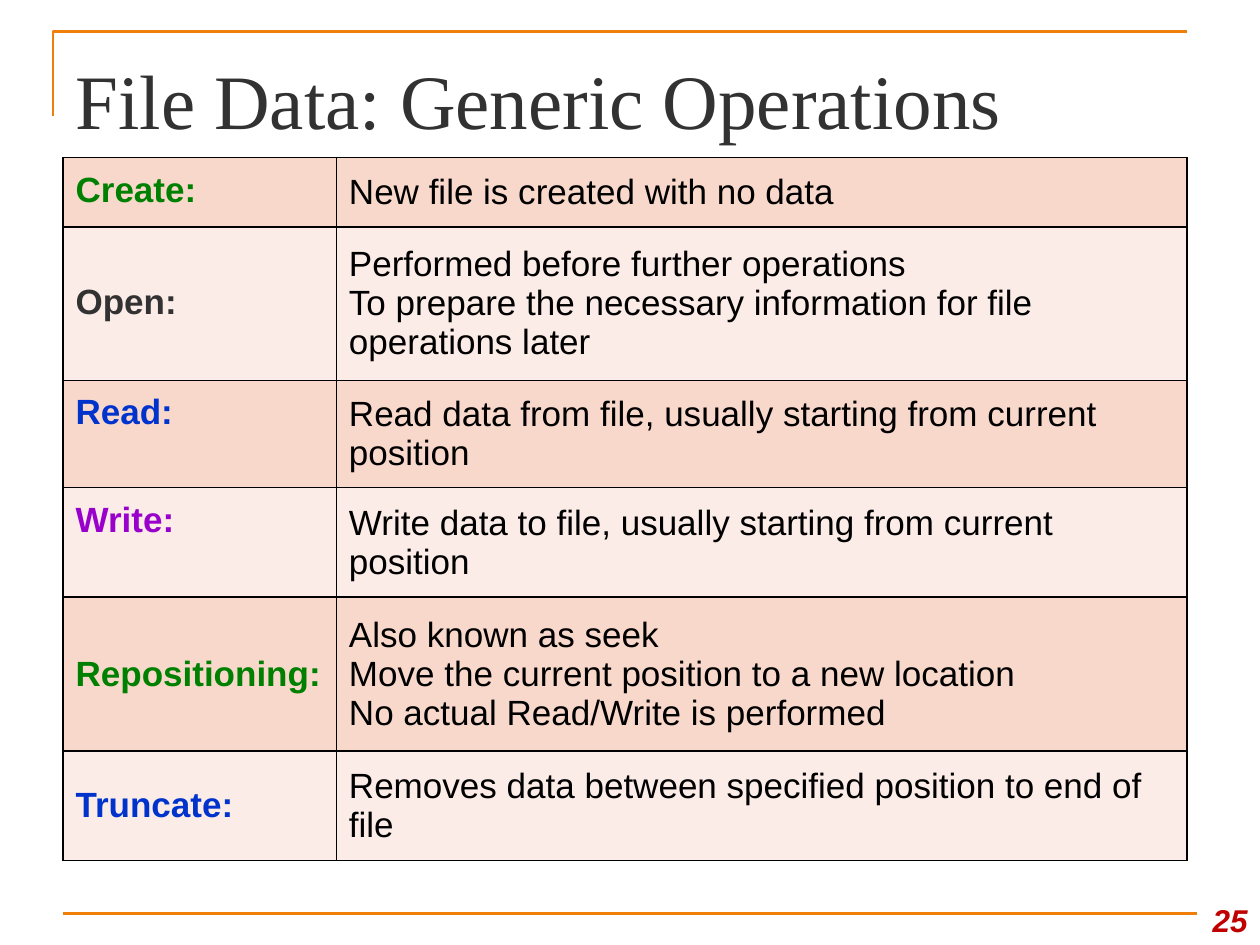
from dataclasses import dataclass

from lxml import etree
from pptx import Presentation, util as u
from pptx.dml.color import RGBColor
from pptx.enum import shapes, text
from pptx.oxml import ns

ORANGE = RGBColor(0xF0, 0x7F, 0x09)
DARK = RGBColor(0x32, 0x32, 0x32)
BLACK = RGBColor(0, 0, 0)
GREEN = RGBColor(0, 0x80, 0)
BLUE = RGBColor(0, 0x33, 0xCC)
PURPLE = RGBColor(0x99, 0, 0xCC)
RED = RGBColor(0xC0, 0, 0)
BANDS = (RGBColor(0xF9, 0xD8, 0xCC), RGBColor(0xFC, 0xEC, 0xE7))


@dataclass
class Operation:
    name: str
    color: RGBColor
    height: float
    notes: tuple[str, ...]
    spacing: float = 0.9
    raised: bool = False


OPERATIONS = (
    Operation("Create:", GREEN, 0.55, ("New file is created with no data",)),
    Operation("Open:", DARK, 1.22, (
        "Performed before further operations",
        "To prepare the necessary information for file operations later")),
    Operation("Read:", BLUE, 0.85, (
        "Read data from file, usually starting from current position",), raised=True),
    Operation("Write:", PURPLE, 0.87, (
        "Write data to file, usually starting from current position",), raised=True),
    Operation("Repositioning:", GREEN, 1.22, (
        "Also known as seek",
        "Move the current position to a new location",
        "No actual Read/Write is performed"), spacing=1.0),
    Operation("Truncate:", BLUE, 0.87, (
        "Removes data between specified position to end of file",), spacing=1.0),
)


def add_span(para, words: str, size: float, color: RGBColor, bold: bool = False,
             italic: bool = False, face: str = "Arial") -> None:
    span = para.add_run()
    span.text = words
    span.font.name = face
    span.font.size = u.Pt(size)
    span.font.bold = bold
    span.font.italic = italic
    span.font.color.rgb = color


def style_line(line) -> None:
    line.color.rgb = ORANGE
    line.width = u.Pt(1.5)


def add_frame_lines(page) -> None:
    builder = page.shapes.build_freeform(u.Inches(0.42), u.Inches(0.92))
    builder.add_line_segments(
        [(u.Inches(0.42), u.Inches(0.25)), (u.Inches(9.42), u.Inches(0.25))], close=False)
    corner = builder.convert_to_shape()
    corner.shadow.inherit = False
    corner.fill.background()
    style_line(corner.line)
    rule = page.shapes.add_connector(
        shapes.MSO_CONNECTOR.STRAIGHT,
        u.Inches(0.5), u.Inches(7.25), u.Inches(9.5), u.Inches(7.25))
    etree.SubElement(rule._element.spPr, ns.qn("a:effectLst"))
    style_line(rule.line)


def add_title(page, words: str) -> None:
    title = page.shapes.title
    title.left, title.top = u.Inches(0.5), u.Inches(0.3)
    title.width, title.height = u.Inches(9), u.Inches(0.78)
    frame = title.text_frame
    frame.auto_size = text.MSO_AUTO_SIZE.NONE
    frame.vertical_anchor = text.MSO_ANCHOR.TOP
    frame.margin_top = u.Inches(0.12)
    frame.margin_bottom = 0
    para = frame.paragraphs[0]
    para.alignment = text.PP_ALIGN.LEFT
    add_span(para, words, 44, DARK, face="Times New Roman")


def format_cell(cell, fill: RGBColor) -> None:
    cell.vertical_anchor = text.MSO_ANCHOR.MIDDLE
    properties = cell._tc.get_or_add_tcPr()
    for side in ("lnL", "lnR", "lnT", "lnB"):
        border = etree.SubElement(properties, ns.qn(f"a:{side}"), w=str(u.Pt(1)))
        solid = etree.SubElement(border, ns.qn("a:solidFill"))
        etree.SubElement(solid, ns.qn("a:srgbClr"), val=str(BLACK))
    cell.fill.solid()
    cell.fill.fore_color.rgb = fill


def add_operations(page) -> None:
    height = sum(operation.height for operation in OPERATIONS)
    table = page.shapes.add_table(
        len(OPERATIONS), 2, u.Inches(0.5), u.Inches(1.25),
        u.Inches(8.92), u.Inches(height)).table
    table.first_row = False
    table.horz_banding = False
    for column, width in zip(table.columns, (2.17, 6.75)):
        column.width = u.Inches(width)
    for index, operation in enumerate(OPERATIONS):
        table.rows[index].height = u.Inches(operation.height)
        label, details = table.cell(index, 0), table.cell(index, 1)
        for cell in (label, details):
            format_cell(cell, BANDS[index % 2])
        if operation.raised:
            label.vertical_anchor = text.MSO_ANCHOR.TOP
            label.margin_top = u.Inches(0.13)
        para = label.text_frame.paragraphs[0]
        para.line_spacing = operation.spacing
        add_span(para, operation.name, 20, operation.color, bold=True)
        frame = details.text_frame
        for number, note in enumerate(operation.notes):
            para = frame.add_paragraph() if number else frame.paragraphs[0]
            add_span(para, note, 20, BLACK)


def add_page_number(page, number: str) -> None:
    box = page.shapes.add_textbox(
        u.Inches(9.42), u.Inches(7), u.Inches(0.58), u.Inches(0.5))
    frame = box.text_frame
    frame.word_wrap = True
    frame.vertical_anchor = text.MSO_ANCHOR.BOTTOM
    para = frame.paragraphs[0]
    para.alignment = text.PP_ALIGN.RIGHT
    add_span(para, number, 18, RED, bold=True, italic=True)


def main() -> None:
    deck = Presentation()
    deck.slide_width, deck.slide_height = u.Inches(10), u.Inches(7.5)
    page = deck.slides.add_slide(deck.slide_layouts[5])
    add_frame_lines(page)
    add_title(page, "File Data: Generic Operations")
    add_operations(page)
    add_page_number(page, "25")
    deck.save("out.pptx")


if __name__ == "__main__":
    main()
